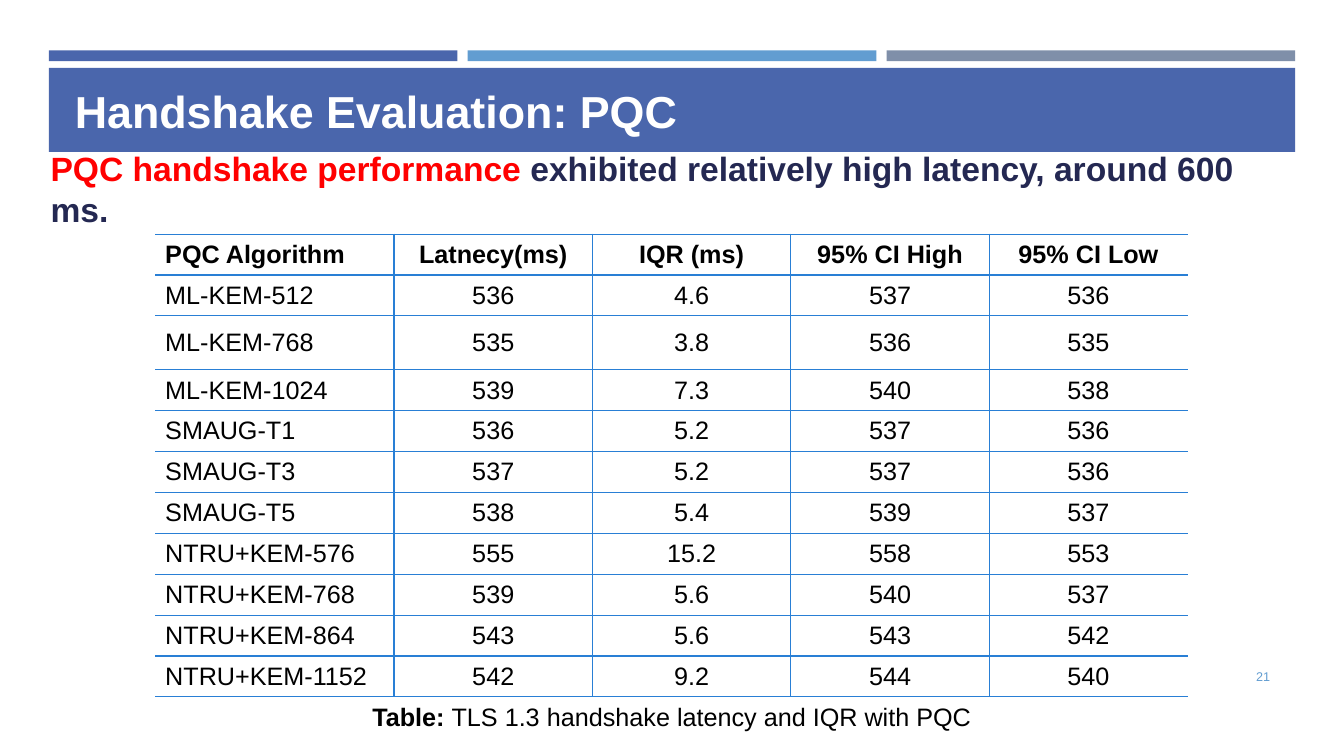
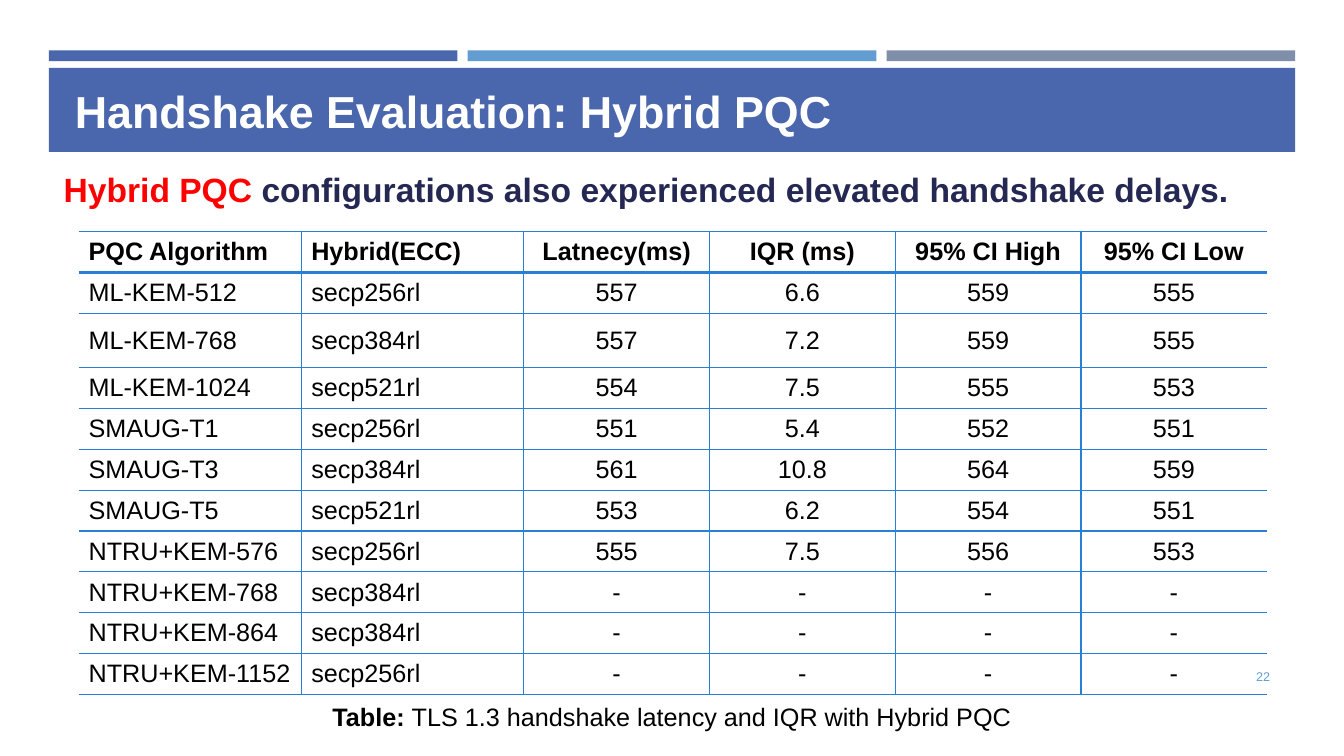
from dataclasses import dataclass

from lxml import etree
from pptx import Presentation
from pptx.dml.color import RGBColor
from pptx.enum import shapes, text
from pptx.oxml import ns
from pptx.util import Cm, Pt

ALGORITHMS = [
    "ML-KEM-512", "ML-KEM-768", "ML-KEM-1024",
    "SMAUG-T1", "SMAUG-T3", "SMAUG-T5",
    "NTRU+KEM-576", "NTRU+KEM-768", "NTRU+KEM-864", "NTRU+KEM-1152",
]
MEASURES = ["Latnecy(ms)", "IQR (ms)", "95% CI High", "95% CI Low"]
NOT_MEASURED = ("-",) * len(MEASURES)

SLIDES = [
    {
        "title": "Handshake Evaluation: PQC",
        "number": "21",
        "message": ("PQC handshake performance ",
                    "exhibited relatively high latency, around 600 ms."),
        "message_left": 1.02,
        "labels": {"PQC Algorithm": ALGORITHMS},
        "values": [
            ("536", "4.6", "537", "536"),
            ("535", "3.8", "536", "535"),
            ("539", "7.3", "540", "538"),
            ("536", "5.2", "537", "536"),
            ("537", "5.2", "537", "536"),
            ("538", "5.4", "539", "537"),
            ("555", "15.2", "558", "553"),
            ("539", "5.6", "540", "537"),
            ("543", "5.6", "543", "542"),
            ("542", "9.2", "544", "540"),
        ],
        "table_at": (3.91, 5.9),
        "label_width": 6.02,
        "value_width": 5,
        "caption": "TLS 1.3 handshake latency and IQR with PQC",
    },
    {
        "title": "Handshake Evaluation: Hybrid PQC",
        "number": "22",
        "message": ("Hybrid PQC ",
                    "configurations also experienced elevated handshake delays."),
        "message_left": 1.35,
        "labels": {
            "PQC Algorithm": ALGORITHMS,
            "Hybrid(ECC)": [
                "secp256rl", "secp384rl", "secp521rl",
                "secp256rl", "secp384rl", "secp521rl",
                "secp256rl", "secp384rl", "secp384rl", "secp256rl",
            ],
        },
        "values": [
            ("557", "6.6", "559", "555"),
            ("557", "7.2", "559", "555"),
            ("554", "7.5", "555", "553"),
            ("551", "5.4", "552", "551"),
            ("561", "10.8", "564", "559"),
            ("553", "6.2", "554", "551"),
            ("555", "7.5", "556", "553"),
            NOT_MEASURED, NOT_MEASURED, NOT_MEASURED,
        ],
        "table_at": (1.98, 5.84),
        "label_width": 5.61,
        "value_width": 4.68,
        "caption": "TLS 1.3 handshake latency and IQR with Hybrid PQC",
    },
]


@dataclass(frozen=True)
class Theme:
    font: str = "Arial"
    blue: str = "4A66AC"
    sky: str = "629DD1"
    slate: str = "7F8FA9"
    navy: str = "242852"
    red: str = "FF0000"
    white: str = "FFFFFF"
    black: str = "000000"
    rule: str = "297FD5"
    title_size: int = 32
    message_size: int = 24
    table_size: int = 18
    number_size: int = 9


THEME = Theme()
MARGIN, FRAME_WIDTH, BAND_GAP = 1.23, 31.41, 0.26
TITLE_AT = (1.63, 1.96, 30.63, 1.63)
NUMBER_AT = (29.34, 16.54, 2.92, 1.02)
CAPTION_AT = (3.91, 17.55, 26.04, 1.02)
MESSAGE_TOP, MESSAGE_WIDTH, MESSAGE_HEIGHT = 3.94, 31.85, 1.63
ROW_HEIGHT, TALL_ROW, TALL_ROW_HEIGHT = 1.03, 2, 1.36


def place(shape, left, top, width, height):
    shape.left, shape.top = Cm(left), Cm(top)
    shape.width, shape.height = Cm(width), Cm(height)


def write(frame, spans, size, align=text.PP_ALIGN.LEFT):
    """Fill the frame with one paragraph of (words, colour, bold) spans."""
    para = frame.paragraphs[0]
    para.alignment = align
    for words, colour, bold in spans:
        span = para.add_run()
        span.text = words
        span.font.name, span.font.size, span.font.bold = THEME.font, Pt(size), bold
        span.font.color.rgb = RGBColor.from_string(colour)


def add_text(slide, at, spans, size, align, anchor=text.MSO_ANCHOR.TOP):
    box = slide.shapes.add_textbox(*map(Cm, at))
    box.text_frame.word_wrap = True
    box.text_frame.vertical_anchor = anchor
    write(box.text_frame, spans, size, align)


def move_bands_to_layout(slide):
    """Draw the coloured bands, then hand them to the layout all slides share."""
    colours = [THEME.blue, THEME.sky, THEME.slate]
    width = (FRAME_WIDTH - BAND_GAP * (len(colours) - 1)) / len(colours)
    bands = [(MARGIN + i * (width + BAND_GAP), 1.27, width, 0.27, colour)
             for i, colour in enumerate(colours)]
    bands.append((MARGIN, 1.71, FRAME_WIDTH, 2.12, THEME.blue))
    for i, (*at, colour) in enumerate(bands):
        band = slide.shapes.add_shape(shapes.MSO_SHAPE.RECTANGLE, *map(Cm, at))
        band.shadow.inherit = False
        band.fill.solid()
        band.fill.fore_color.rgb = RGBColor.from_string(colour)
        band.line.fill.background()
        band.element.nvSpPr.cNvPr.set("id", str(20 + i))
        slide.slide_layout.shapes.element.insert(2 + i, band.element)


def set_borders(cell, widths):
    """Set borders from {side: points}; a width of 0 hides that side."""
    properties = cell._tc.get_or_add_tcPr()
    for i, side in enumerate("LRTB"):
        line = etree.Element(ns.qn(f"a:ln{side}"), w=str(Pt(widths[side])))
        if widths[side]:
            fill = etree.SubElement(line, ns.qn("a:solidFill"))
            etree.SubElement(fill, ns.qn("a:srgbClr"), val=THEME.rule)
        else:
            etree.SubElement(line, ns.qn("a:noFill"))
        properties.insert(i, line)


def add_results(slide, content):
    labels = content["labels"]
    rows = [[*labels, *MEASURES]]
    rows += [[*names, *values]
             for *names, values in zip(*labels.values(), content["values"])]
    widths = ([content["label_width"]] * len(labels)
              + [content["value_width"]] * len(MEASURES))
    heights = [TALL_ROW_HEIGHT if r == TALL_ROW else ROW_HEIGHT
               for r in range(len(rows))]
    at = (*content["table_at"], sum(widths), sum(heights))
    table = slide.shapes.add_table(len(rows), len(widths), *map(Cm, at)).table
    table.first_row = table.horz_banding = False
    for column, width in zip(table.columns, widths):
        column.width = Cm(width)
    for r, (row, height) in enumerate(zip(rows, heights)):
        table.rows[r].height = Cm(height)
        for c, words in enumerate(row):
            cell = table.cell(r, c)
            cell.fill.background()
            cell.vertical_anchor = text.MSO_ANCHOR.MIDDLE
            align = text.PP_ALIGN.LEFT if c < len(labels) else text.PP_ALIGN.CENTER
            write(cell.text_frame, [(words, THEME.black, r == 0)],
                  THEME.table_size, align)
            set_borders(cell, {"L": int(c > 0), "R": int(c < len(row) - 1),
                               "T": 1, "B": 2 if r == 0 else 1})


def add_message(body, content):
    place(body, content["message_left"], MESSAGE_TOP, MESSAGE_WIDTH, MESSAGE_HEIGHT)
    frame = body.text_frame
    frame.auto_size = text.MSO_AUTO_SIZE.NONE
    frame.vertical_anchor = text.MSO_ANCHOR.MIDDLE
    para = frame.paragraphs[0]
    para.space_before = Pt(0)
    properties = para._p.get_or_add_pPr()
    properties.set("marL", "0")
    properties.set("indent", "0")
    etree.SubElement(properties, ns.qn("a:buNone"))
    subject, finding = content["message"]
    write(frame, [(subject, THEME.red, True), (finding, THEME.navy, True)],
          THEME.message_size)


def build_slide(deck, layout, content):
    slide = deck.slides.add_slide(layout)
    title, body = slide.placeholders
    place(title, *TITLE_AT)
    title.text_frame.auto_size = text.MSO_AUTO_SIZE.NONE
    title.text_frame.vertical_anchor = text.MSO_ANCHOR.MIDDLE
    write(title.text_frame, [(content["title"], THEME.white, True)], THEME.title_size)
    add_message(body, content)
    add_text(slide, NUMBER_AT, [(content["number"], THEME.sky, False)],
             THEME.number_size, text.PP_ALIGN.RIGHT, text.MSO_ANCHOR.MIDDLE)
    add_results(slide, content)
    add_text(slide, CAPTION_AT,
             [("Table: ", THEME.black, True), (content["caption"], THEME.black, False)],
             THEME.table_size, text.PP_ALIGN.CENTER)
    return slide


def main():
    deck = Presentation()
    deck.slide_width, deck.slide_height = Cm(33.87), Cm(19.05)
    layout = deck.slide_layouts.get_by_name("Title and Content")
    slides = [build_slide(deck, layout, content) for content in SLIDES]
    move_bands_to_layout(slides[0])
    deck.save("out.pptx")


if __name__ == "__main__":
    main()
